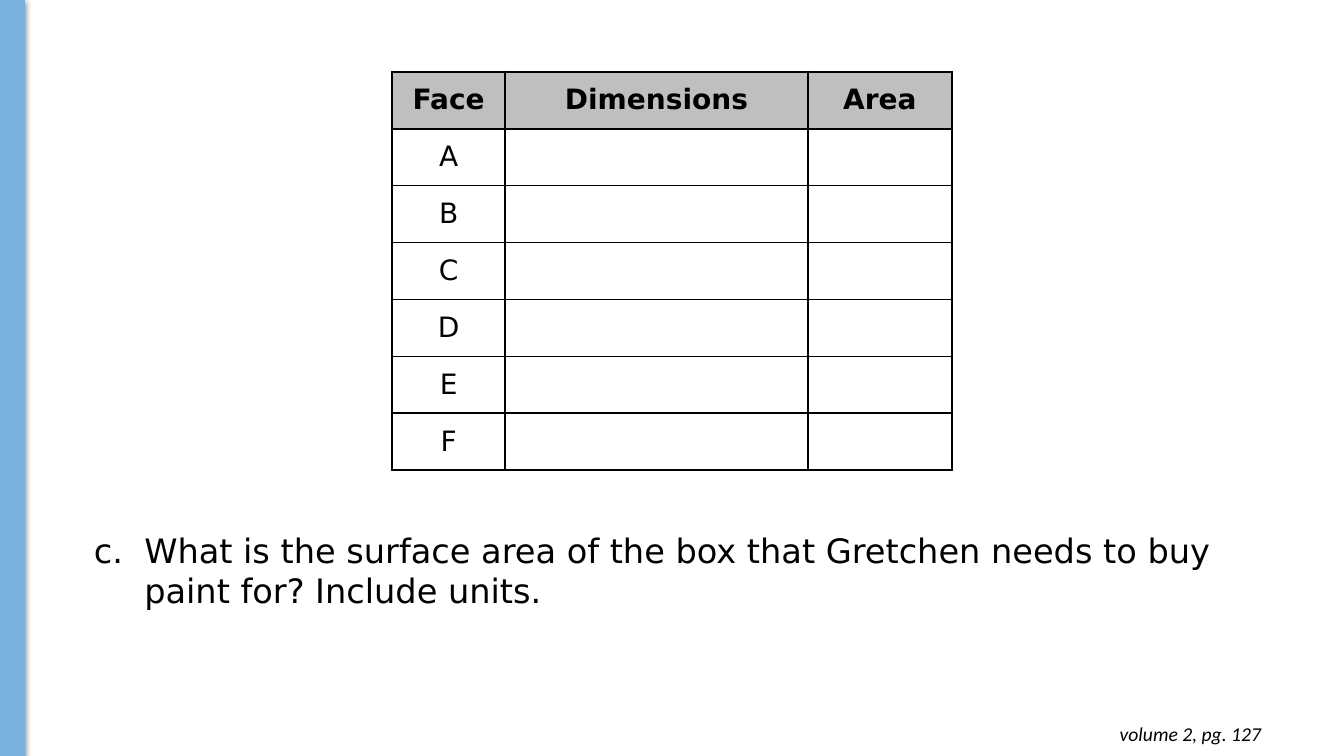
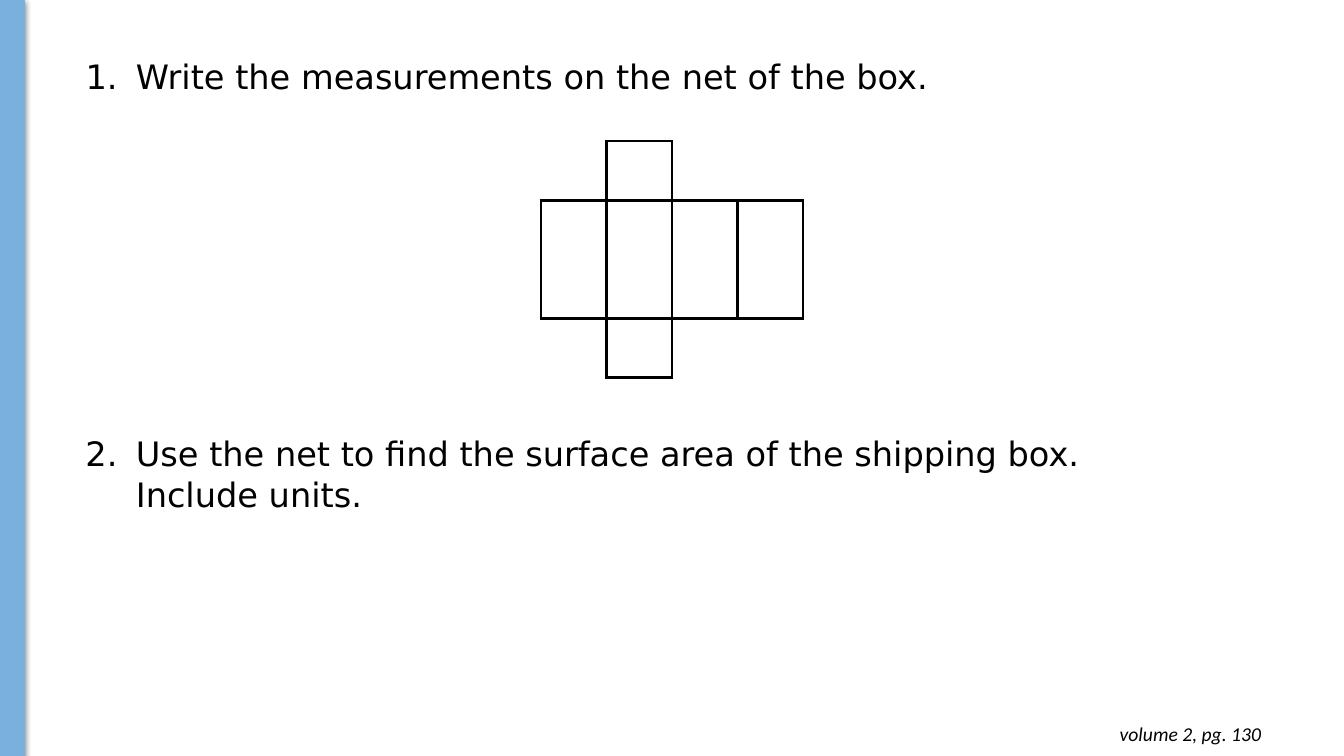
from dataclasses import dataclass

from lxml.etree import SubElement
from pptx import Presentation
from pptx.dml.color import RGBColor as RGB
from pptx.enum.shapes import MSO_SHAPE as SHAPE
from pptx.enum.text import MSO_ANCHOR as ANCHOR, MSO_AUTO_SIZE as AUTO, PP_ALIGN as ALIGN
from pptx.oxml.ns import qn
from pptx.util import Pt


@dataclass(frozen=True)
class Theme:
    band: str = "79B0DD"
    ink: str = "000000"
    header: str = "BFBFBF"
    body_font: str = "DejaVu Sans"
    footer_font: str = "Calibri"
    question_size: int = 24
    table_size: int = 20
    footer_size: int = 14
    table_line: float = 1.5
    net_line: float = 2.25


T = Theme()
SLIDE_W, SLIDE_H = 960, 540


def style(p, size, font=T.body_font, bold=False, italic=False):
    for r in p.runs:
        r.font.size, r.font.name = Pt(size), font
        r.font.bold, r.font.italic = bold, italic
        r.font.color.rgb = RGB.from_string(T.ink)


def sub(parent, tag, **attrs):
    return SubElement(parent, qn(tag), {k: str(v) for k, v in attrs.items()})


def add_band(s):
    sp = s.shapes.add_shape(SHAPE.RECTANGLE, 0, 0, Pt(17.3), Pt(SLIDE_H))
    sp.fill.solid()
    sp.fill.fore_color.rgb = sp.line.color.rgb = RGB.from_string(T.band)
    sp.line.width = Pt(0.75)
    sp.shadow.inherit = False
    effects = sp._element.spPr.find(qn("a:effectLst"))
    shadow = sub(effects, "a:outerShdw", blurRad=Pt(4.5), dist=Pt(1.5),
                 dir=5400000, algn="t", rotWithShape=0)
    sub(sub(shadow, "a:srgbClr", val=T.ink), "a:alpha", val=50000)


def add_text(s, text, left, top, width, height):
    """Add a wrapping text box and return its text frame and paragraph."""
    tf = s.shapes.add_textbox(Pt(left), Pt(top), Pt(width), Pt(height)).text_frame
    tf.word_wrap = True
    tf.auto_size = AUTO.SHAPE_TO_FIT_TEXT
    p = tf.paragraphs[0]
    p.text = text
    return tf, p


def add_question(s, text, left, top, width, height, number, scheme="arabicPeriod"):
    """Add a question whose marker is an automatic number hanging at the left."""
    _, p = add_text(s, text, left, top, width, height)
    pPr = p._p.get_or_add_pPr()
    pPr.set("marL", str(Pt(36)))
    pPr.set("indent", str(Pt(-36)))
    sub(sub(pPr, "a:buClr"), "a:srgbClr", val=T.ink)
    sub(pPr, "a:buAutoNum", type=scheme, startAt=number)
    style(p, T.question_size)


def add_footer(s, text):
    tf, p = add_text(s, text, 700.5, 508.3, 207.5, 31.7)
    tf.margin_left = tf.margin_right = tf.margin_top = tf.margin_bottom = Pt(7.2)
    p.alignment = ALIGN.RIGHT
    style(p, T.footer_size, T.footer_font, italic=True)


def add_grid(s, top, widths, heights):
    """Add a plain table centred across the slide."""
    left = (SLIDE_W - sum(widths)) / 2
    table = s.shapes.add_table(len(heights), len(widths), Pt(left), Pt(top),
                               Pt(sum(widths)), Pt(sum(heights))).table
    table.first_row = table.horz_banding = False
    for column, width in zip(table.columns, widths):
        column.width = Pt(width)
    for row, height in zip(table.rows, heights):
        row.height = Pt(height)
    return table


def format_cell(cell, line, sides="LRTB", fill=None):
    """Draw the named sides of a cell, and clear the others."""
    tcPr = cell._tc.get_or_add_tcPr()
    for side in "LRTB":
        ln = sub(tcPr, f"a:ln{side}", w=Pt(line))
        if side in sides:
            sub(sub(ln, "a:solidFill"), "a:srgbClr", val=T.ink)
        else:
            sub(ln, "a:noFill")
    if fill:
        cell.fill.solid()
        cell.fill.fore_color.rgb = RGB.from_string(fill)
    else:
        cell.fill.background()


def add_face_table(s):
    rows = [("Face", "Dimensions", "Area")] + [(face, "", "") for face in "ABCDEF"]
    table = add_grid(s, 51.2, [81, 216, 103], [40.7] * len(rows))
    for i, row in enumerate(rows):
        for j, text in enumerate(row):
            cell = table.cell(i, j)
            format_cell(cell, T.table_line, fill=T.header if i == 0 else None)
            cell.vertical_anchor = ANCHOR.MIDDLE
            cell.margin_left = cell.margin_right = Pt(5)
            cell.margin_top = cell.margin_bottom = 0
            p = cell.text_frame.paragraphs[0]
            p.text = text
            p.alignment = ALIGN.CENTER
            style(p, T.table_size, bold=i == 0)


def add_box_net(s):
    """Add the net: a middle row of four faces with one flap above and below."""
    widths, heights = [46.8] * 4, [42.2, 84.4, 42.2]
    faces = {(1, j) for j in range(4)} | {(0, 1), (2, 1)}
    table = add_grid(s, 100.8, widths, heights)
    for i in range(len(heights)):
        for j in range(len(widths)):
            beside = {"L": (i, j - 1), "R": (i, j + 1), "T": (i - 1, j), "B": (i + 1, j)}
            sides = [side for side, spot in beside.items()
                     if faces & {(i, j), spot}]
            format_cell(table.cell(i, j), T.net_line, sides)


def add_slide(prs, page):
    s = prs.slides.add_slide(prs.slide_layouts[6])
    add_band(s)
    add_footer(s, f"volume 2, pg. {page}")
    return s


def main():
    prs = Presentation()
    prs.slide_width, prs.slide_height = Pt(SLIDE_W), Pt(SLIDE_H)

    s = add_slide(prs, 127)
    add_face_table(s)
    add_question(s, "What is the surface area of the box that Gretchen needs to buy "
                 "paint for? Include units.", 60, 375, 852.5, 65.5, 3, "alphaLcPeriod")

    s = add_slide(prs, 130)
    add_question(s, "Write the measurements on the net of the box.", 54, 36.7, 738, 36, 1)
    add_box_net(s)
    add_question(s, "Use the net to find the surface area of the shipping box.\n"
                 "Include units.", 54, 306, 848, 65.5, 2)

    prs.save("out.pptx")


if __name__ == "__main__":
    main()
